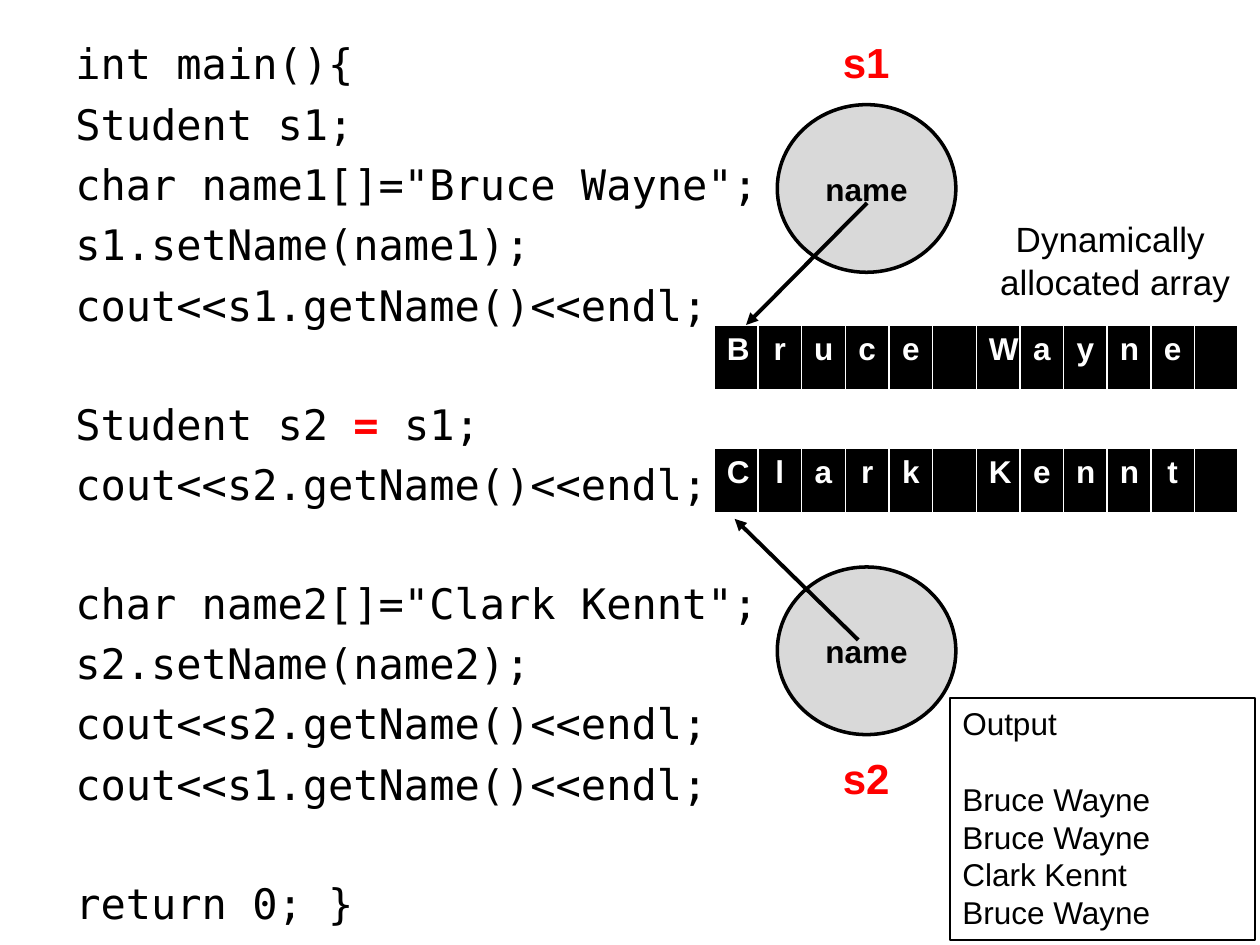
from lxml import etree
from pptx import Presentation
from pptx.dml.color import RGBColor
from pptx.enum import shapes, text
from pptx.oxml import ns
from pptx.util import Cm, Pt

BLACK = RGBColor(0, 0, 0)
WHITE = RGBColor(255, 255, 255)
RED = RGBColor(255, 0, 0)
GREY = RGBColor(0xD9, 0xD9, 0xD9)
SANS, MONO = "Arial", "DejaVu Sans Mono"

CODE = [
    ["int main(){",
     "Student s1;",
     'char name1[]="Bruce Wayne";',
     "s1.setName(name1);",
     "cout<<s1.getName()<<endl;"],
    ["Student s2 = s1;",
     "cout<<s2.getName()<<endl;"],
    ['char name2[]="Clark Kennt";',
     "s2.setName(name2);",
     "cout<<s2.getName()<<endl;",
     "cout<<s1.getName()<<endl;"],
    ["return 0; }"],
]
OUTPUT = [["Output"], ["Bruce Wayne", "Bruce Wayne", "Clark Kennt", "Bruce Wayne"]]
CAPTION = [["Dynamically ", "allocated array"]]
STUDENTS = [
    dict(label="s1", label_top=0.61, circle_top=2.11, letters="Bruce Wayne ",
         array_top=6.56, arrow=(17.48, 4.09, 15.04, 6.55)),
    dict(label="s2", label_top=15.04, circle_top=11.43, letters="Clark Kennt ",
         array_top=9.04, arrow=(17.3, 12.9, 14.81, 10.46)),
]
ARRAY_LEFT, CELL_WIDTH, CELL_HEIGHT = 14.4, 0.88, 1.3
CODE_GAP, CODE_BLOCK_GAP = 5.65, 39.2
OUTPUT_LINE, CAPTION_LINE = 21.6, 24


def style(run, size, color=BLACK, bold=False, font=SANS):
    run.font.size = Pt(size)
    run.font.name = font
    run.font.bold = bold
    run.font.color.rgb = color


def write_blocks(frame, blocks, size, gap=0, block_gap=0, line=None,
                 align=text.PP_ALIGN.LEFT, font=SANS):
    frame.text = "\n".join(row for block in blocks for row in block)
    frame.vertical_anchor = text.MSO_ANCHOR.TOP
    starts = [i == 0 for block in blocks for i in range(len(block))]
    for i, (paragraph, starts_block) in enumerate(zip(frame.paragraphs, starts)):
        paragraph.alignment = align
        paragraph.space_before = Pt(0 if i == 0 else block_gap if starts_block else gap)
        if line:
            paragraph.line_spacing = Pt(line)
        for run in paragraph.runs:
            style(run, size, font=font)


def add_text(slide, left, top, width, height, wrap):
    frame = slide.shapes.add_textbox(Cm(left), Cm(top), Cm(width), Cm(height)).text_frame
    frame.word_wrap = wrap
    return frame


def add_code(slide):
    frame = add_text(slide, 1.27, 0.64, 22.86, 16.38, True)
    write_blocks(frame, CODE, 24, CODE_GAP, CODE_BLOCK_GAP,
                 align=text.PP_ALIGN.JUSTIFY, font=MONO)
    assignment = next(p for p in frame.paragraphs if " = " in p.text)
    before, after = assignment.text.split("= ")
    assignment.runs[0].text = before
    for part, color, bold in (("= ", RED, True), (after, BLACK, False)):
        run = assignment.add_run()
        run.text = part
        style(run, 24, color, bold, MONO)


def add_student(slide, student):
    circle = slide.shapes.add_shape(shapes.MSO_SHAPE.OVAL, Cm(15.67),
                                    Cm(student["circle_top"]), Cm(3.6), Cm(3.38))
    circle.shadow.inherit = False
    circle.fill.solid()
    circle.fill.fore_color.rgb = GREY
    circle.line.color.rgb = BLACK
    circle.line.width = Pt(2)
    circle.text_frame.text = "name"
    circle.text_frame.vertical_anchor = text.MSO_ANCHOR.MIDDLE
    field = circle.text_frame.paragraphs[0]
    field.alignment = text.PP_ALIGN.CENTER
    style(field.runs[0], 18, BLACK, True)

    label = add_text(slide, 16.74, student["label_top"], 1.47, 1.27, False)
    label.text = student["label"]
    style(label.paragraphs[0].runs[0], 24, RED, True)

    letters = student["letters"]
    array = slide.shapes.add_table(1, len(letters), Cm(ARRAY_LEFT), Cm(student["array_top"]),
                                   Cm(CELL_WIDTH * len(letters)), Cm(CELL_HEIGHT)).table
    for column, letter in enumerate(letters):
        array.columns[column].width = Cm(CELL_WIDTH)
        cell = array.cell(0, column)
        cell.fill.solid()
        cell.fill.fore_color.rgb = BLACK
        cell.text = letter.strip()
        paragraph = cell.text_frame.paragraphs[0]
        paragraph.alignment = text.PP_ALIGN.CENTER
        for run in paragraph.runs:
            style(run, 18, WHITE, True)

    arrow = slide.shapes.add_connector(shapes.MSO_CONNECTOR.STRAIGHT,
                                       *(Cm(v) for v in student["arrow"]))
    arrow.line.color.rgb = BLACK
    arrow.line.width = Pt(2.25)
    etree.SubElement(arrow.line._get_or_add_ln(), ns.qn("a:tailEnd"), type="triangle")
    etree.SubElement(arrow._element.spPr, ns.qn("a:effectLst"))


def add_output(slide):
    box = slide.shapes.add_shape(shapes.MSO_SHAPE.RECTANGLE,
                                 Cm(19.15), Cm(14.07), Cm(6.15), Cm(4.88))
    box.shadow.inherit = False
    box.fill.background()
    box.line.color.rgb = BLACK
    box.line.width = Pt(0.75)
    write_blocks(box.text_frame, OUTPUT, 18, block_gap=OUTPUT_LINE, line=OUTPUT_LINE)


def main():
    deck = Presentation()
    deck.slide_width, deck.slide_height = Cm(25.4), Cm(19.05)
    slide = deck.slides.add_slide(deck.slide_layouts[6])
    add_code(slide)
    for student in STUDENTS:
        add_student(slide, student)
    add_output(slide)
    caption = add_text(slide, 19.89, 4.27, 5.18, 1.96, False)
    write_blocks(caption, CAPTION, 20, line=CAPTION_LINE, align=text.PP_ALIGN.CENTER)
    deck.save("out.pptx")


if __name__ == "__main__":
    main()
